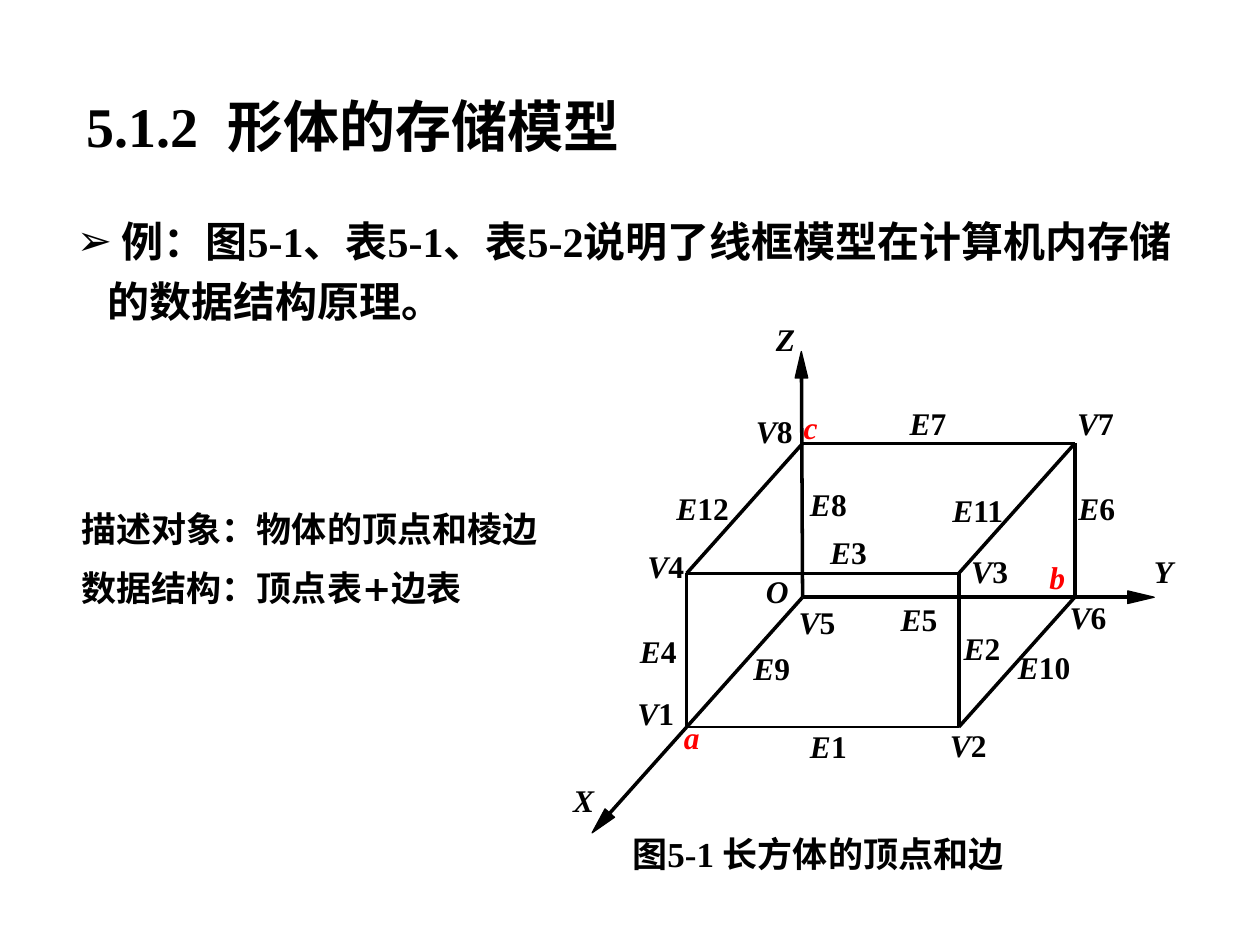
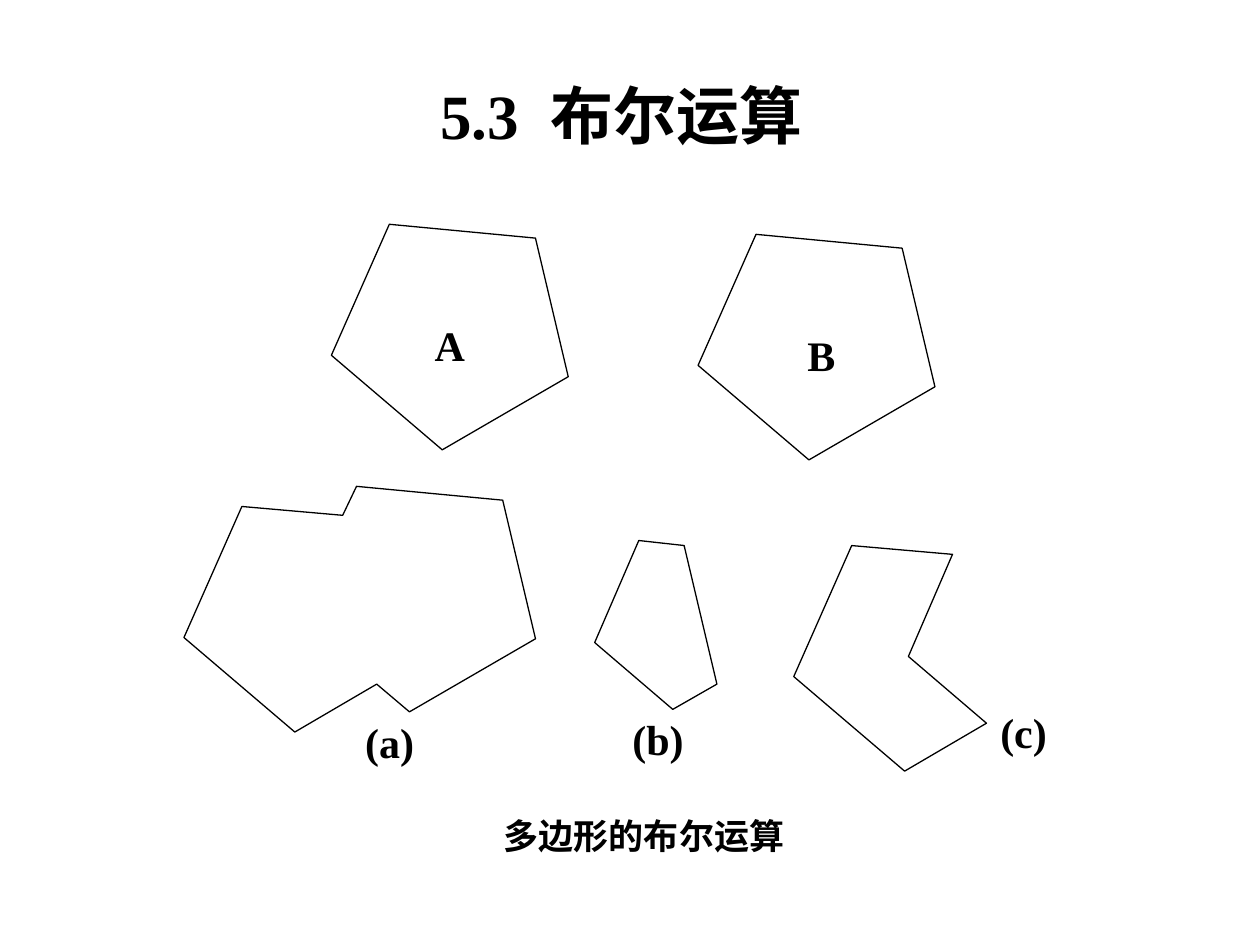
from lxml.etree import SubElement
from pptx import Presentation
from pptx.dml.color import RGBColor
from pptx.enum.shapes import MSO_CONNECTOR
from pptx.enum.text import MSO_ANCHOR, MSO_AUTO_SIZE, PP_ALIGN
from pptx.oxml.ns import qn
from pptx.util import Inches, Pt

STRAIGHT = MSO_CONNECTOR.STRAIGHT
TOP, MIDDLE = MSO_ANCHOR.TOP, MSO_ANCHOR.MIDDLE
LEFT, CENTER, JUSTIFY = PP_ALIGN.LEFT, PP_ALIGN.CENTER, PP_ALIGN.JUSTIFY
NO_FIT = MSO_AUTO_SIZE.NONE

COLORS = {"ink": "000000", "mark": "FF0000"}
LATIN, CHINESE, SANS = "Times New Roman", "Noto Sans CJK SC", "DejaVu Sans"
HAIRLINE = 0

STORAGE_TITLE = "5.1.2  形体的存储模型"
EXAMPLE = [
    (" 例：", {"font": CHINESE}),
    ("图5-1、表5-1、表5-2说明了线框模型在计算机内存储的数据结构原理。", {}),
]
DESCRIPTION = ["描述对象：物体的顶点和棱边", "数据结构：顶点表+边表"]
CUBOID_CAPTION = [
    ("图", {"font": CHINESE}),
    ("5-1 ", {}),
    ("长方体的顶点和边", {"font": CHINESE}),
]

FRONT_LEFT = (5.45, 5.77)
WIDTH, HEIGHT, DEPTH = (2.16, 0), (0, -1.22), (0.92, -1.03)
EDGES = [
    ("V1", "V2", 1.5), ("V2", "V3", HAIRLINE), ("V3", "V4", HAIRLINE),
    ("V4", "V1", HAIRLINE), ("V6", "V7", HAIRLINE), ("V7", "V8", HAIRLINE),
    ("V2", "V6", HAIRLINE), ("V3", "V7", HAIRLINE), ("V4", "V8", HAIRLINE),
]
AXIS_TIPS = [(9.16, 4.74), (6.36, 2.79), (4.70, 6.61)]
HEAD_LENGTH, HEAD_HALF_WIDTH = 0.21, 0.05

CUBOID_LABELS = {
    "V1": (4.96, 5.46), "V2": (7.44, 5.71), "V3": (7.61, 4.33),
    "V4": (5.04, 4.29), "V5": (6.24, 4.74), "V6": (8.39, 4.70),
    "V7": (8.45, 3.16), "V8": (5.90, 3.22),
    "E1": (6.33, 5.72), "E2": (7.55, 4.94), "E3": (6.49, 4.18),
    "E4": (4.98, 4.97), "E5": (7.05, 4.71), "E6": (8.46, 3.83),
    "E7": (7.12, 3.16), "E8": (6.33, 3.80), "E9": (5.88, 5.10),
    "E10": (7.98, 5.09), "E11": (7.46, 3.85), "E12": (5.27, 3.83),
    "X": (4.45, 6.15), "Y": (9.06, 4.33), "Z": (6.06, 2.49),
    "O": (5.98, 4.49),
    "a": (5.33, 5.65), "b": (8.23, 4.38), "c": (6.28, 3.19),
}

BOOLEAN_TITLE = "5.3  布尔运算"
BOOLEAN_CAPTION = "多边形的布尔运算"
PENTAGON = [(0.46, 0), (0, 1.04), (0.88, 1.79), (1.88, 1.21), (1.62, 0.11)]
SHIFT = (0.91, -0.16)
UPPER_CROSSING, LOWER_CROSSING = (1.26, 0.07), (1.53, 1.41)
POLYGON_LABELS = {
    "A": (3.35, 2.49), "B": (6.31, 2.57),
    "(a)": (2.80, 5.64), "(b)": (4.92, 5.61), "(c)": (7.84, 5.56),
}


def add(*vectors):
    return tuple(sum(parts) for parts in zip(*vectors))


def write(box, paragraphs, *, size, font=LATIN, color="ink", align=LEFT,
          anchor=TOP, spacing=1.0, gap=0, bullet=None, hanging=0.24):
    frame = box.text_frame
    frame.word_wrap = True
    frame.auto_size = NO_FIT
    frame.vertical_anchor = anchor
    for index, spans in enumerate(paragraphs):
        para = frame.add_paragraph() if index else frame.paragraphs[0]
        para.alignment = align
        para.line_spacing = spacing
        para.space_before = Pt(gap if index else 0)
        if bullet:
            properties = para._p.get_or_add_pPr()
            properties.set("marL", str(Inches(hanging)))
            properties.set("indent", str(-Inches(hanging)))
            SubElement(properties, qn("a:buChar")).set("char", bullet)
        for text, changes in [(spans, {})] if isinstance(spans, str) else spans:
            span = para.add_run()
            span.text = text
            span.font.size = Pt(size)
            span.font.bold = True
            span.font.italic = changes.get("italic", False)
            span.font.name = changes.get("font", font)
            span.font.color.rgb = RGBColor.from_string(COLORS[color])
            east_asian = SubElement(span._r.get_or_add_rPr(), qn("a:ea"))
            east_asian.set("typeface", CHINESE)


def place(box, left, top, width, height):
    box.left, box.top = Inches(left), Inches(top)
    box.width, box.height = Inches(width), Inches(height)
    return box


def add_text(page, area, paragraphs, **style):
    box = page.shapes.add_textbox(*map(Inches, area))
    write(box, paragraphs, **style)


def add_line(page, start, end, weight=HAIRLINE):
    line = page.shapes.add_connector(STRAIGHT, *map(Inches, start + end))
    line.line.color.rgb = RGBColor.from_string(COLORS["ink"])
    line.line.width = Pt(weight)
    SubElement(line._element.spPr, qn("a:effectLst"))


def add_polygon(page, points, filled=False):
    corners = [tuple(map(Inches, point)) for point in points]
    builder = page.shapes.build_freeform(*corners[0])
    builder.add_line_segments(corners[1:], close=True)
    polygon = builder.convert_to_shape()
    polygon.shadow.inherit = False
    polygon.line.color.rgb = RGBColor.from_string(COLORS["ink"])
    polygon.line.width = Pt(HAIRLINE)
    if filled:
        polygon.fill.solid()
        polygon.fill.fore_color.rgb = RGBColor.from_string(COLORS["ink"])
    else:
        polygon.fill.background()


def add_axis(page, origin, tip):
    across, down = tip[0] - origin[0], tip[1] - origin[1]
    length = (across ** 2 + down ** 2) ** 0.5
    across, down = across / length, down / length
    base = add(tip, (-across * HEAD_LENGTH, -down * HEAD_LENGTH))
    side = (-down * HEAD_HALF_WIDTH, across * HEAD_HALF_WIDTH)
    add_line(page, origin, base)
    add_polygon(page, [add(base, side), tip,
                       add(base, (-side[0], -side[1]))], filled=True)


def cuboid_vertices():
    front = [FRONT_LEFT, add(FRONT_LEFT, WIDTH),
             add(FRONT_LEFT, WIDTH, HEIGHT), add(FRONT_LEFT, HEIGHT)]
    corners = front + [add(corner, DEPTH) for corner in front]
    return {f"V{number}": corner for number, corner in enumerate(corners, 1)}


def build_storage_page(deck):
    page = deck.slides.add_slide(deck.slide_layouts[1])
    title = place(page.shapes.title, 0.59, 0.68, 6.61, 0.64)
    write(title, [STORAGE_TITLE], size=32)
    body = place(page.placeholders[1], 0.51, 1.58, 9.06, 1.06)
    write(body, [EXAMPLE], size=24, spacing=1.2, bullet="➢")
    add_text(page, (0.55, 3.91, 5, 0.97), DESCRIPTION,
             size=20, font=SANS, spacing=1.2, gap=5)

    vertices = cuboid_vertices()
    for start, end, weight in EDGES:
        add_line(page, vertices[start], vertices[end], weight)
    for tip in AXIS_TIPS:
        add_axis(page, vertices["V5"], tip)
    for label, position in CUBOID_LABELS.items():
        spans = [(label[0], {"italic": True})]
        if label[1:]:
            spans.append((label[1:], {}))
        add_text(page, position + (0.99, 0.77), [spans], size=18, align=JUSTIFY,
                 color="mark" if label in "abc" else "ink")
    add_text(page, (4.92, 6.56, 4.94, 0.5), [CUBOID_CAPTION], size=20)


def build_boolean_page(deck):
    page = deck.slides.add_slide(deck.slide_layouts[5])
    title = place(page.shapes.title, 0.68, 0.28, 8.5, 1.25)
    write(title, [BOOLEAN_TITLE], size=36, align=CENTER, anchor=MIDDLE)

    first = PENTAGON
    second = [add(point, SHIFT) for point in PENTAGON]
    union = first[:3] + [LOWER_CROSSING] + second[2:] + [second[0], UPPER_CROSSING]
    intersection = [second[1], UPPER_CROSSING, first[4], first[3], LOWER_CROSSING]
    difference = first[:3] + [LOWER_CROSSING, second[1], UPPER_CROSSING]
    figures = [
        (first, (2.63, 1.78)), (first, (5.54, 1.86)), (union, (1.46, 4.02)),
        (intersection, (3.81, 4.22)), (difference, (6.30, 4.33)),
    ]
    for outline, position in figures:
        add_polygon(page, [add(point, position) for point in outline])
    for label, position in POLYGON_LABELS.items():
        add_text(page, position + (0.65, 0.5), [label], size=24)
    add_text(page, (3.9, 6.35, 2.68, 0.5), [BOOLEAN_CAPTION],
             size=20, font=CHINESE, spacing=1.2)


def main():
    deck = Presentation()
    deck.slide_width, deck.slide_height = Inches(10), Inches(7.5)
    build_storage_page(deck)
    build_boolean_page(deck)
    deck.save("out.pptx")


if __name__ == "__main__":
    main()
